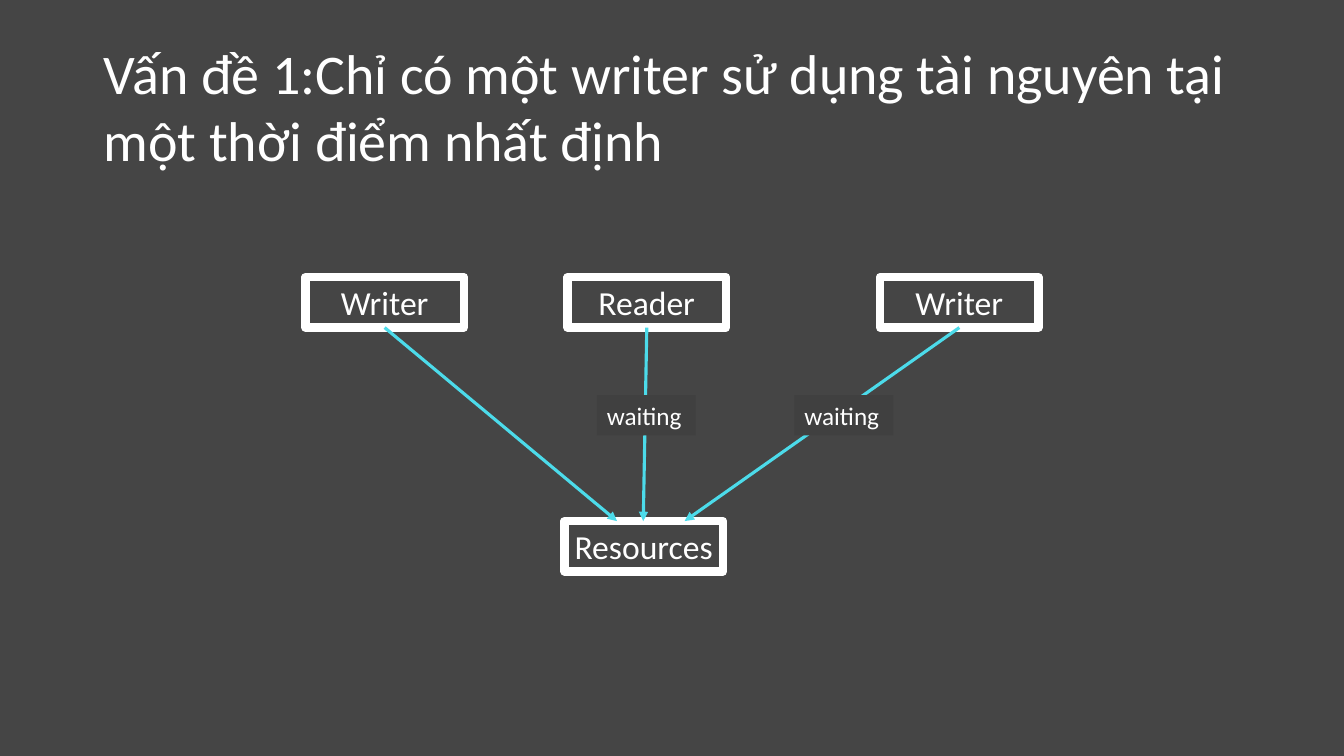
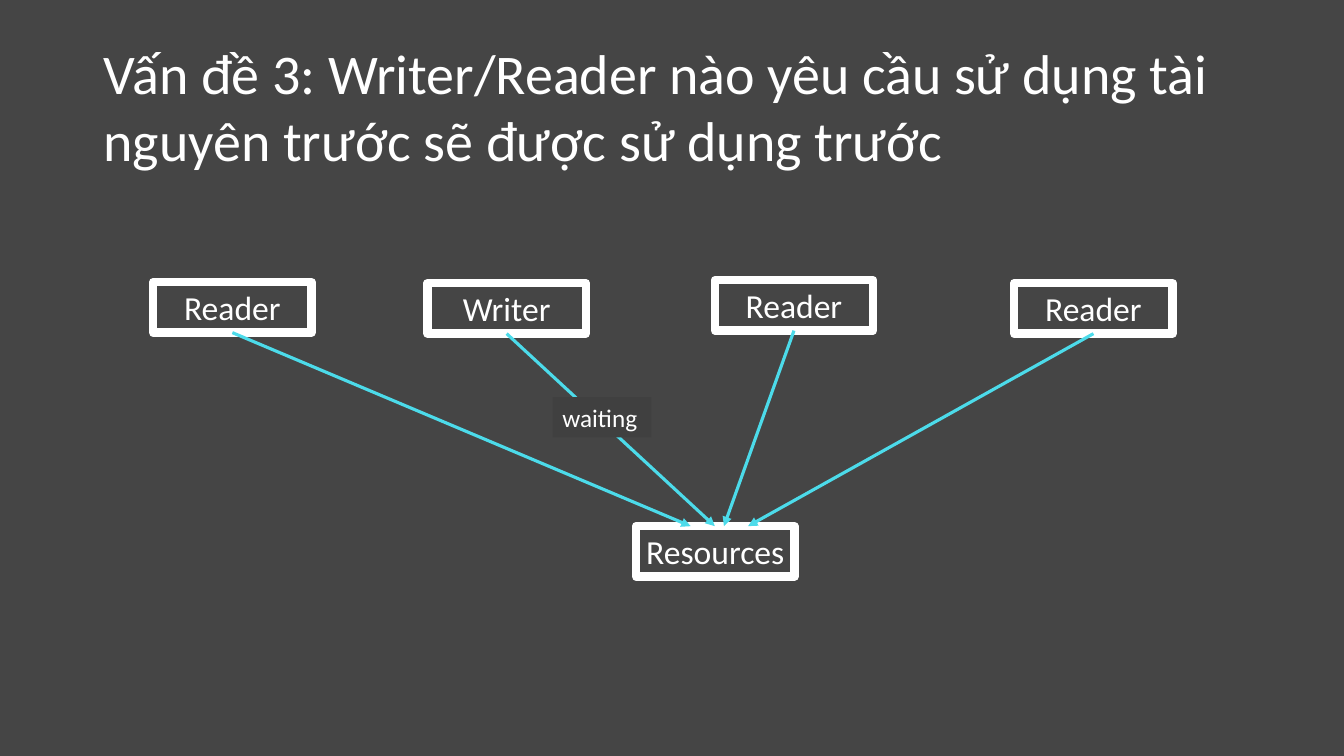
from lxml.etree import SubElement
from pptx import Presentation
from pptx.dml.color import RGBColor
from pptx.enum.shapes import MSO_CONNECTOR as Connector, MSO_SHAPE as Preset
from pptx.enum.text import MSO_ANCHOR as Anchor, MSO_AUTO_SIZE as AutoSize, PP_ALIGN as Align
from pptx.oxml.ns import qn
from pptx.util import Inches, Pt

BACKGROUND = RGBColor(0x45, 0x45, 0x45)
LABEL_FILL = RGBColor(0x40, 0x40, 0x40)
WHITE = RGBColor(0xFF, 0xFF, 0xFF)
CYAN = RGBColor(0x4C, 0xDB, 0xEA)
FONT = "Calibri"
NODE_WIDTH, NODE_HEIGHT = 1.57, 0.5
LABEL_WIDTH, LABEL_HEIGHT = 0.98, 0.4

PROBLEMS = [
    {
        "title": "Vấn đề 1:Chỉ có một writer sử dụng tài nguyên tại một thời điểm nhất định",
        "title_width": 12,
        "resource": (5.6, 5.17),
        "clients": [
            ("Writer", 3.03, 2.75, 6.12),
            ("Reader", 5.63, 2.75, 6.38),
            ("Writer", 8.73, 2.75, 6.79),
        ],
        "waiting": [(5.92, 3.92), (7.88, 3.92)],
    },
    {
        "title": "Vấn đề 3: Writer/Reader nào yêu cầu sử dụng tài nguyên trước sẽ được sử dụng trước",
        "title_width": 12.16,
        "resource": (6.31, 5.22),
        "clients": [
            ("Reader", 1.52, 2.8, 6.85),
            ("Writer", 4.24, 2.81, 7.09),
            ("Reader", 7.09, 2.78, 7.18),
            ("Reader", 10.06, 2.81, 7.42),
        ],
        "waiting": [(5.48, 3.94)],
    },
]


def write(shape, text, size, align=Align.LEFT):
    frame = shape.text_frame
    frame.text = text
    frame.word_wrap = True
    frame.auto_size = AutoSize.SHAPE_TO_FIT_TEXT
    frame.vertical_anchor = Anchor.TOP
    para = frame.paragraphs[0]
    para.alignment = align
    font = para.runs[0].font
    font.name = FONT
    font.size = Pt(size)
    font.color.rgb = WHITE


def add_title(page, text, width):
    box = page.shapes.add_textbox(Inches(0.93), Inches(0.33), Inches(width), Inches(1.45))
    write(box, text, 40)


def add_rectangle(page, left, top, width, height):
    box = page.shapes.add_shape(
        Preset.RECTANGLE, Inches(left), Inches(top), Inches(width), Inches(height)
    )
    box.shadow.inherit = False
    return box


def add_node(page, text, left, top):
    node = add_rectangle(page, left, top, NODE_WIDTH, NODE_HEIGHT)
    node.fill.background()
    node.line.color.rgb = WHITE
    node.line.width = Pt(6)
    SubElement(node._element.spPr.find(qn("a:ln")), qn("a:round"))
    write(node, text, 24, Align.CENTER)
    node.text_frame.margin_left = node.text_frame.margin_right = Inches(0.05)


def add_waiting_label(page, left, top):
    label = add_rectangle(page, left, top, LABEL_WIDTH, LABEL_HEIGHT)
    label.fill.solid()
    label.fill.fore_color.rgb = LABEL_FILL
    label.line.fill.background()
    write(label, "waiting", 18)


def add_arrow(page, start, end):
    arrow = page.shapes.add_connector(
        Connector.STRAIGHT, *(Inches(value) for value in (*start, *end))
    )
    arrow.line.color.rgb = CYAN
    arrow.line.width = Pt(2.25)
    properties = arrow._element.spPr
    SubElement(properties.find(qn("a:ln")), qn("a:tailEnd"), type="triangle")
    SubElement(properties, qn("a:effectLst"))


def add_problem(deck, problem):
    page = deck.slides.add_slide(deck.slide_layouts[6])
    page.background.fill.solid()
    page.background.fill.fore_color.rgb = BACKGROUND
    add_title(page, problem["title"], problem["title_width"])
    resource_left, resource_top = problem["resource"]
    add_node(page, "Resources", resource_left, resource_top)
    for name, left, top, target in problem["clients"]:
        add_node(page, name, left, top)
        start = (left + NODE_WIDTH / 2, top + NODE_HEIGHT)
        add_arrow(page, start, (target, resource_top))
    for left, top in problem["waiting"]:
        add_waiting_label(page, left, top)


def main():
    deck = Presentation()
    deck.slide_width = Inches(13.33)
    deck.slide_height = Inches(7.5)
    for problem in PROBLEMS:
        add_problem(deck, problem)
    deck.save("out.pptx")


main()
